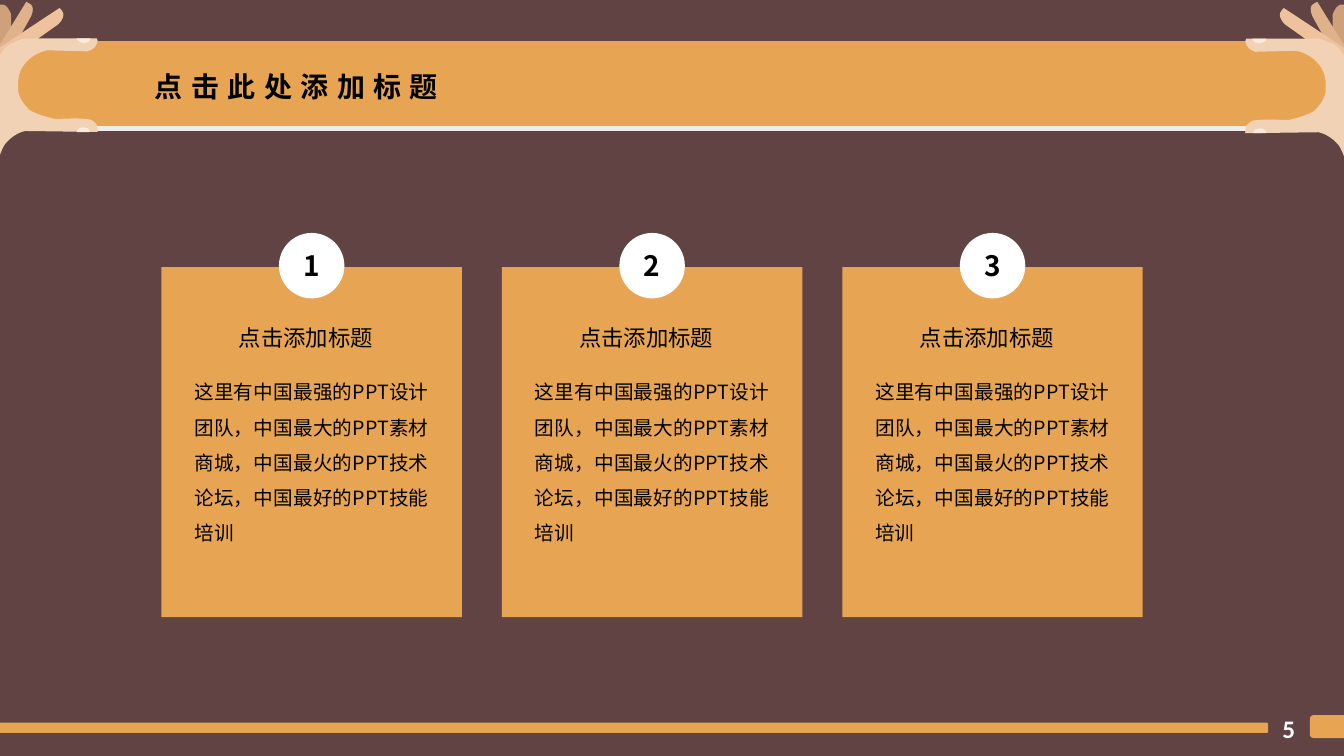
import pptx
import pptx.dml.color
import pptx.enum.shapes
import pptx.enum.text
import pptx.oxml
import pptx.oxml.ns
import pptx.util

Cm = pptx.util.Cm
RGBColor = pptx.dml.color.RGBColor
SHAPE = pptx.enum.shapes.MSO_SHAPE
ALIGN = pptx.enum.text.PP_ALIGN
ANCHOR = pptx.enum.text.MSO_ANCHOR

MAROON = RGBColor(0x2D, 0x05, 0x05)
ORANGE = RGBColor(0xE7, 0xA5, 0x53)
WHITE = RGBColor(0xFF, 0xFF, 0xFF)
BLACK = RGBColor(0x00, 0x00, 0x00)
FINGER_BACK = RGBColor(0xCF, 0xA1, 0x7B)
FINGER_MIDDLE = RGBColor(0xDF, 0xB2, 0x8B)
FINGER_FRONT = RGBColor(0xEE, 0xC2, 0x9D)
SKIN = RGBColor(0xF1, 0xD2, 0xB5)
NAIL = RGBColor(0xFB, 0xEB, 0xDE)

FONT = "Noto Sans CJK SC"
SLIDE_W, SLIDE_H = 33.87, 19.05
CARD_TITLE = "点击添加标题"
CARD_BODY = ("这里有中国最强的PPT设计团队，中国最大的PPT素材商城，"
             "中国最火的PPT技术论坛，中国最好的PPT技能培训")

# Outlines of a left hand: pairs are corners, six numbers are a Bezier curve.
HAND_UNIT = 0.0254  # cm
HAND_LEFT, HAND_TOP = -4, 8
HAND = [
    (FINGER_BACK, [(-2, 75), (-2, 5), (0, 5, 6, 1, 11, 14), (12, 85)]),
    (FINGER_MIDDLE, [(-11, 62), (26, 2), (28, 3, 36, 4, 31, 16), (-4, 79)]),
    (FINGER_FRONT, [(-3, 49), (59, 8), (60, 9, 68, 14, 58, 24), (-4, 68)]),
    (SKIN, [
        (-4, 69), (-2, 65, -3, 59, 0, 55), (3, 50, 5, 46, 10, 44),
        (14, 42, 17, 40, 25, 38), (96, 38), (98, 41, 96, 44, 94, 47),
        (92, 49, 90, 50, 87, 51), (47, 50), (36, 52, 27, 59, 22, 67),
        (17, 76, 18, 84, 18, 90), (19, 98, 25, 105, 29, 109),
        (37, 114, 47, 116, 54, 118), (65, 118, 74, 117, 85, 118),
        (91, 118, 94, 121, 96, 124), (97, 127, 97, 129, 97, 131),
        (25, 130), (16, 132, 9, 138, 5, 143), (0, 151, -1, 158, -4, 165)]),
    (NAIL, [(76, 38), (76, 39, 78, 42, 80, 42), (82, 43, 85, 43, 87, 42),
            (88, 41, 90, 40, 90, 38)]),
    (NAIL, [(89, 131), (90, 130, 87, 127, 86, 127),
            (84, 126, 81, 126, 79, 127), (78, 128, 76, 129, 76, 131)]),
]


def paint(sp, color, alpha=None):
    sp.shadow.inherit = False
    sp.fill.solid()
    sp.fill.fore_color.rgb = color
    sp.line.fill.background()
    if alpha is not None:
        clr = sp.fill._xPr.find(".//" + pptx.oxml.ns.qn("a:srgbClr"))
        clr.append(pptx.oxml.parse_xml(
            f'<a:alpha {pptx.oxml.ns.nsdecls("a")} val="{alpha * 1000}"/>'))


def add_block(s, kind, x, y, w, h, color, alpha=None, rounding=None):
    sp = s.shapes.add_shape(kind, Cm(x), Cm(y), Cm(w), Cm(h))
    paint(sp, color, alpha)
    if rounding is not None:
        sp.adjustments[0] = rounding
    return sp


def write(sp, text, size, font=FONT, color=BLACK, bold=False, align=ALIGN.LEFT,
          line_spacing=None, letter_spacing=None, anchor=ANCHOR.TOP, wrap=True):
    tf = sp.text_frame
    tf.word_wrap = wrap
    tf.vertical_anchor = anchor
    p = tf.paragraphs[0]
    p.alignment = align
    if line_spacing:
        p.line_spacing = line_spacing
    r = p.add_run()
    r.text = text
    r.font.size = pptx.util.Pt(size)
    r.font.bold = bold
    r.font.color.rgb = color
    r.font.name = font
    rPr = r._r.get_or_add_rPr()
    rPr.append(pptx.oxml.parse_xml(
        f'<a:ea {pptx.oxml.ns.nsdecls("a")} typeface="{font}"/>'))
    if letter_spacing:
        rPr.set("spc", str(letter_spacing * 100))


def add_text(s, x, y, w, h, text, size, **style):
    sp = s.shapes.add_textbox(Cm(x), Cm(y), Cm(w), Cm(h))
    write(sp, text, size, **style)
    sp.text_frame.auto_size = pptx.enum.text.MSO_AUTO_SIZE.SHAPE_TO_FIT_TEXT


def add_outline(s, outline, place):
    """Build a freeform, then join each curve's three points into a Bezier."""
    points = [place(*part[i:i + 2])
              for part in outline for i in range(0, len(part), 2)]
    fb = s.shapes.build_freeform(*points[0])
    fb.add_line_segments(points[1:], close=True)
    sp = fb.convert_to_shape()
    lines = iter(sp._element.findall(".//" + pptx.oxml.ns.qn("a:lnTo")))
    for part in outline[1:]:
        first = next(lines)
        if len(part) == 6:
            curve = pptx.oxml.parse_xml(
                f'<a:cubicBezTo {pptx.oxml.ns.nsdecls("a")}/>')
            first.addprevious(curve)
            for line in (first, next(lines), next(lines)):
                curve.append(line[0])
                line.getparent().remove(line)
    return sp


def add_hand(s, edge, direction, scale=1.0):
    """Draw a hand reaching in from a slide edge; direction -1 mirrors it."""
    def place(x, y):
        dx = HAND_LEFT + (x - HAND_LEFT) * scale
        dy = HAND_TOP + (y - HAND_TOP) * scale
        return Cm(edge + direction * dx * HAND_UNIT), Cm(dy * HAND_UNIT)

    for color, outline in HAND:
        paint(add_outline(s, outline, place), color)


def add_header(s, x, y, w, h, title):
    bar = SHAPE.ROUNDED_RECTANGLE
    add_block(s, bar, x + 0.43, y + 0.13, w, h, WHITE, alpha=90, rounding=0.5)
    add_block(s, bar, x, y, w, h, ORANGE, rounding=0.5)
    add_hand(s, 0, 1)
    add_hand(s, SLIDE_W, -1, scale=1.01)
    add_text(s, x + 3.32, y + 0.59, 8.99, 1.12, title, 20, bold=True,
             letter_spacing=6)


def add_footer(s, x, y, number):
    bar = SHAPE.ROUNDED_RECTANGLE
    add_block(s, bar, x, y, 32.23, 0.26, ORANGE)
    add_block(s, bar, x + 33.28, y - 0.19, 1.45, 0.58, ORANGE)
    add_text(s, x + 32.34, y - 0.37, 0.84, 1.02, number, 18, font="Calibri",
             color=WHITE, bold=True, wrap=False)


def add_card(s, x, y, w, h, number):
    badge = 1.65
    add_block(s, SHAPE.RECTANGLE, x, y, w, h, ORANGE)
    add_text(s, x + 1.7, y + 0.97, 4.17, 1.27, CARD_TITLE, 16,
             align=ALIGN.JUSTIFY, line_spacing=1.5)
    add_text(s, x + 0.58, y + 2.43, 6.4, 4.75, CARD_BODY, 14,
             align=ALIGN.JUSTIFY, line_spacing=1.5)
    sp = add_block(s, SHAPE.OVAL, x + (w - badge) / 2, y - 0.86, badge, badge,
                   WHITE)
    write(sp, str(number), 20, bold=True, align=ALIGN.CENTER,
          anchor=ANCHOR.MIDDLE)


def main():
    prs = pptx.Presentation()
    prs.slide_width, prs.slide_height = Cm(SLIDE_W), Cm(SLIDE_H)
    s = prs.slides.add_slide(prs.slide_layouts[6])
    add_block(s, SHAPE.RECTANGLE, 0, 0, SLIDE_W, SLIDE_H, MAROON, alpha=75)
    add_header(s, 0.33, 1.04, 33.53, 2.13, "点击此处添加标题")
    add_footer(s, -0.27, 18.21, "5")
    for i in range(3):
        add_card(s, 4.07 + i * 8.58, 6.73, 7.57, 8.82, i + 1)
    prs.save("out.pptx")


if __name__ == "__main__":
    main()
